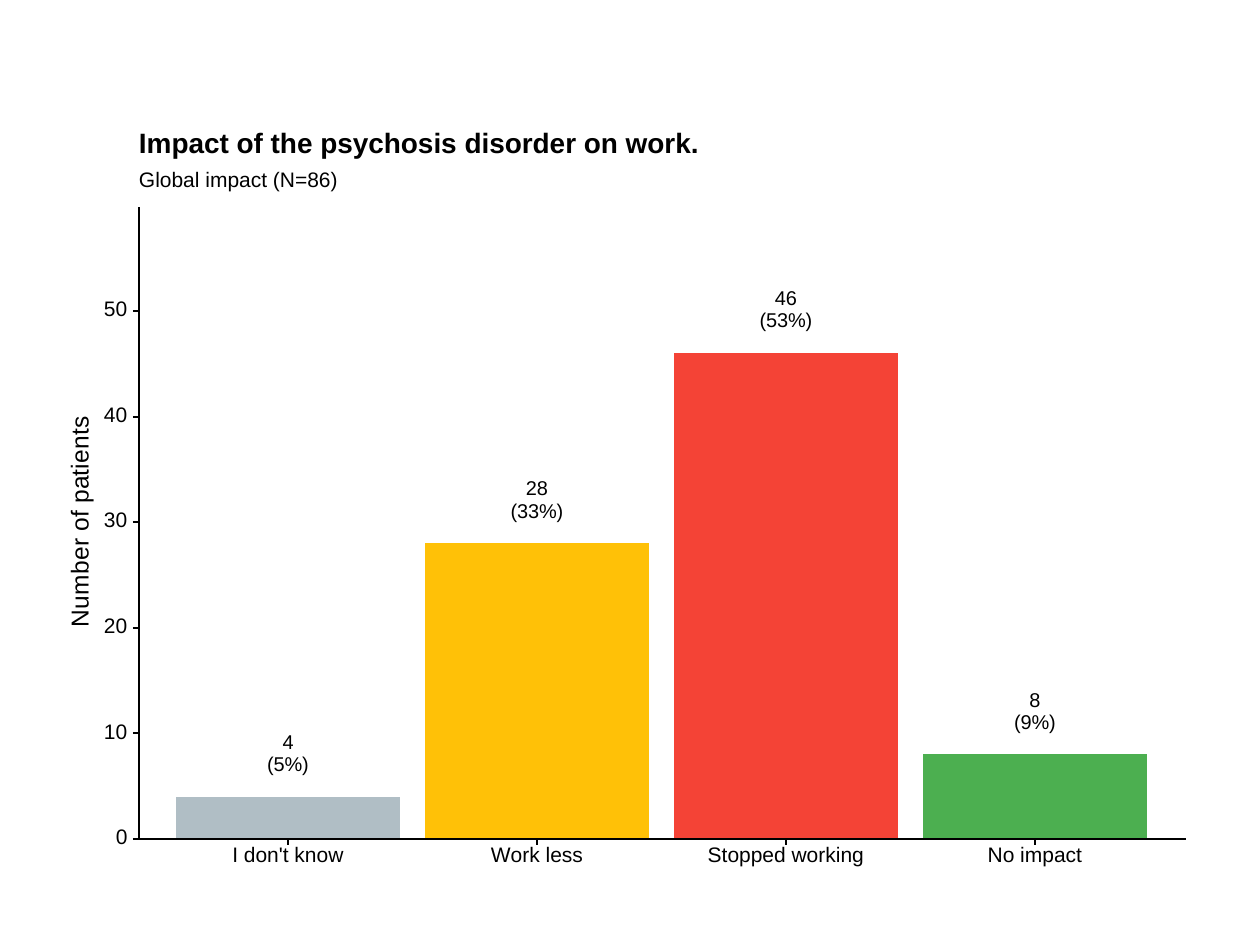
import pptx
import pptx.util
import pptx.chart.data
import pptx.dml.color
import pptx.enum.chart
import pptx.enum.shapes
import pptx.enum.text
import pptx.oxml
import pptx.oxml.ns
from dataclasses import dataclass

Enum = pptx.enum.chart
qn = pptx.oxml.ns.qn


@dataclass(frozen=True)
class Theme:
    face: str = "Arial"
    ink: str = "000000"
    paper: str = "FFFFFF"
    head: float = 16
    name: float = 14
    body: float = 12
    note: float = 11.4
    rule: float = 1.07


def px(num):
    return pptx.util.Emu(round(num * 914400 / 126))


def rgb(code):
    return pptx.dml.color.RGBColor.from_string(code)


def apply(item, vals):
    for key, val in vals.items():
        setattr(item, key, val)


def place(node, spot, vals):
    for old in node.findall(qn("c:layout")):
        node.remove(old)
    layout = pptx.oxml.parse_xml(
        f'<c:layout {pptx.oxml.ns.nsdecls("c")}><c:manualLayout/></c:layout>')
    for key, val in vals.items():
        part = layout[0].makeelement(qn(f"c:{key}"), {"val": str(val)})
        layout[0].append(part)
    node.insert(spot, layout)


class Board:
    def __init__(self, slide, theme):
        self.slide = slide
        self.theme = theme

    def style(self, font, size, bold=False):
        apply(font, {"name": self.theme.face, "size": pptx.util.Pt(size), "bold": bold})
        font.color.rgb = rgb(self.theme.ink)

    def text(self, words, box, size, bold=False):
        frame = self.slide.shapes.add_textbox(*map(px, box)).text_frame
        apply(frame, {
            "margin_left": 0, "margin_right": 0, "margin_top": 0, "margin_bottom": 0,
            "word_wrap": False, "vertical_anchor": pptx.enum.text.MSO_ANCHOR.MIDDLE})
        para = frame.paragraphs[0]
        para.line_spacing = pptx.util.Pt(size)
        run = para.add_run()
        run.text = words
        self.style(run.font, size, bold)

    def line(self, *ends):
        line = self.slide.shapes.add_connector(
            pptx.enum.shapes.MSO_CONNECTOR.STRAIGHT, *map(px, ends))
        line.line.color.rgb = rgb(self.theme.ink)
        line.line.width = pptx.util.Pt(self.theme.rule)
        line._element.spPr.append(pptx.oxml.parse_xml(
            f'<a:effectLst {pptx.oxml.ns.nsdecls("a")}/>'))

    def axis(self, axis, vals):
        apply(axis, {"has_major_gridlines": False, "has_minor_gridlines": False,
                     "major_tick_mark": Enum.XL_TICK_MARK.NONE,
                     "minor_tick_mark": Enum.XL_TICK_MARK.NONE, **vals})
        axis.format.line.fill.background()
        self.style(axis.tick_labels.font, self.theme.body)

    def label(self, point, lines, lift):
        label = point.data_label
        frame = label.text_frame
        for num, line in enumerate(lines):
            para = frame.add_paragraph() if num else frame.paragraphs[0]
            run = para.add_run()
            run.text = line
            self.style(run.font, self.theme.note)
        label.position = Enum.XL_LABEL_POSITION.OUTSIDE_END
        place(frame._txBody.getparent().getparent(), 1, {"x": 0, "y": lift})

    def bars(self, rows, title, box, plot, spot):
        data = pptx.chart.data.CategoryChartData()
        data.categories = [row[0] for row in rows]
        data.add_series(title, [row[1] for row in rows])
        chart = self.slide.shapes.add_chart(
            Enum.XL_CHART_TYPE.COLUMN_CLUSTERED, *map(px, box), data).chart
        apply(chart, {"has_legend": False, "has_title": False})
        self.style(chart.font, self.theme.body)
        apply(chart.plots[0], {"gap_width": 11, "vary_by_categories": False})
        self.axis(chart.category_axis, {})
        self.axis(chart.value_axis, {
            "minimum_scale": 0, "maximum_scale": 59.8, "major_unit": 10,
            "tick_label_position": Enum.XL_TICK_LABEL_POSITION.NONE})
        left, top, wide, high = box
        for point, row in zip(chart.plots[0].series[0].points, rows):
            point.format.fill.solid()
            point.format.fill.fore_color.rgb = rgb(row[3])
            self.label(point, (str(row[1]), row[2]), round(-16 / high, 4))
        for flag in chart._chartSpace.iter(qn("c:showLeaderLines")):
            flag.set("val", "0")
        head = chart.value_axis.axis_title
        run = head.text_frame.paragraphs[0].add_run()
        run.text = title
        self.style(run.font, self.theme.name)
        body = head.text_frame._txBody.find(qn("a:bodyPr"))
        body.set("rot", "-5400000")
        body.set("vert", "horz")
        place(head._element, 1, {
            "xMode": "edge", "yMode": "edge",
            "x": (spot[0] - left) / wide, "y": (spot[1] - top) / high})
        place(chart._chartSpace.chart.plotArea, 0, {
            "layoutTarget": "inner", "xMode": "edge", "yMode": "edge",
            "x": (plot[0] - left) / wide, "y": (plot[1] - top) / high,
            "w": plot[2] / wide, "h": plot[3] / high})

    def frame(self, left, top, right, base, first, step, count):
        self.line(left, base, left, top)
        for num in range(6):
            high = base - num * 105.6
            words = str(num * 10)
            wide = 12 * len(words)
            self.line(left - 6, high, left, high)
            self.text(words, (128 - wide, high - 8, wide, 15), self.theme.body)
        self.line(left, base, right, base)
        for num in range(count):
            mid = first + num * step
            self.line(mid, base + 6, mid, base)


def main():
    deck = pptx.Presentation()
    apply(deck, {"slide_width": px(1260), "slide_height": px(945)})
    theme = Theme()
    slide = deck.slides.add_slide(deck.slide_layouts[6])
    slide.background.fill.solid()
    slide.background.fill.fore_color.rgb = rgb(theme.paper)
    board = Board(slide, theme)
    rows = [
        ("I don't know", 4, "(5%)", "B0BEC5"),
        ("Work less", 28, "(33%)", "FFC107"),
        ("Stopped working", 46, "(53%)", "F44336"),
        ("No impact", 8, "(9%)", "4CAF50"),
    ]
    step, first = 249, 288
    board.bars(rows, "Number of patients", (43, 126, 1154, 756),
               (first - step / 2, 207, step * len(rows), 632), (59, 412))
    board.frame(139, 207, 1186, 839, first, step, len(rows))
    board.text("Global impact (N=86)", (139, 171, 199, 20), theme.body)
    board.text("Impact of the psychosis disorder on work.",
               (139, 132, 562, 26), theme.head, True)
    deck.save("out.pptx")


if __name__ == "__main__":
    main()
